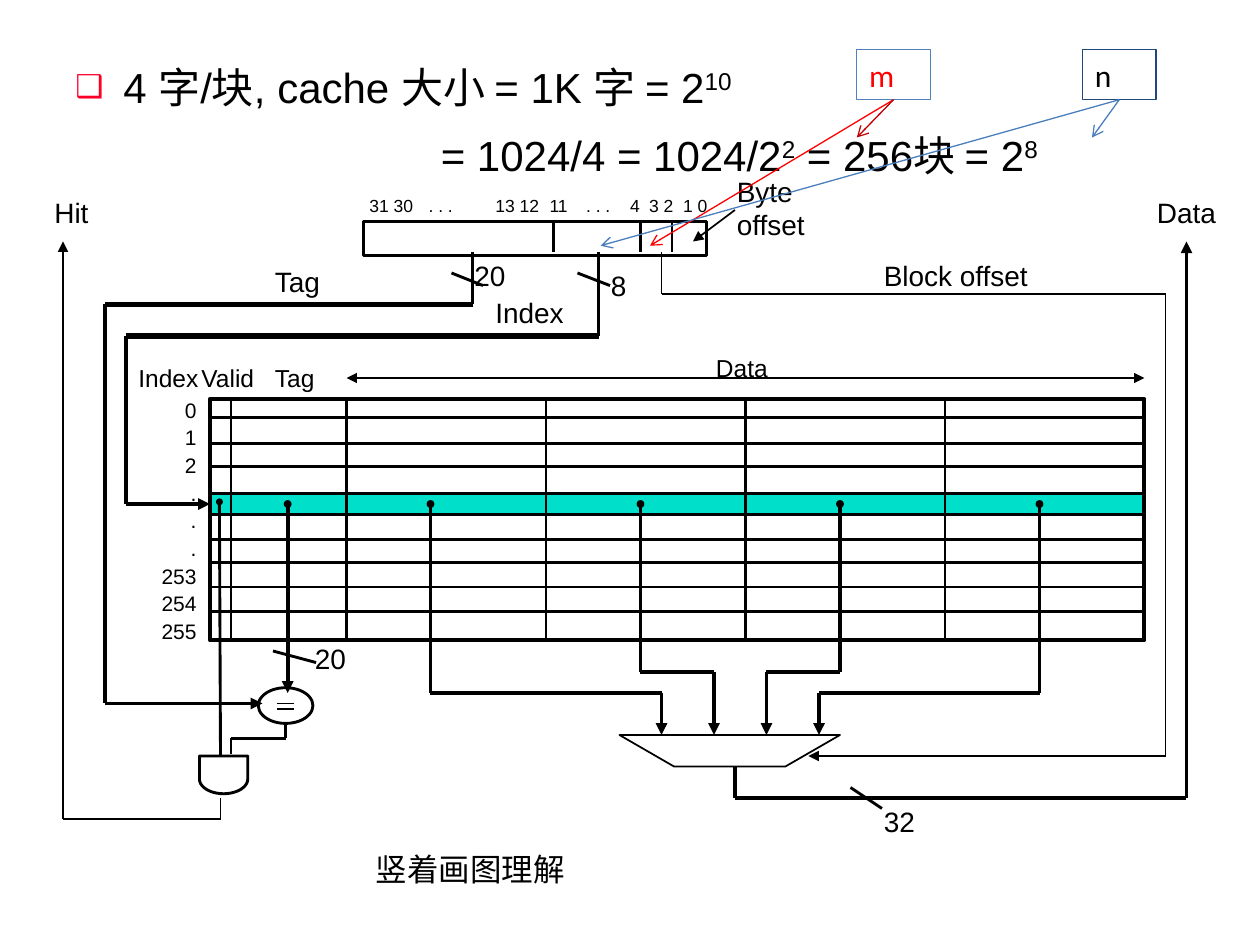
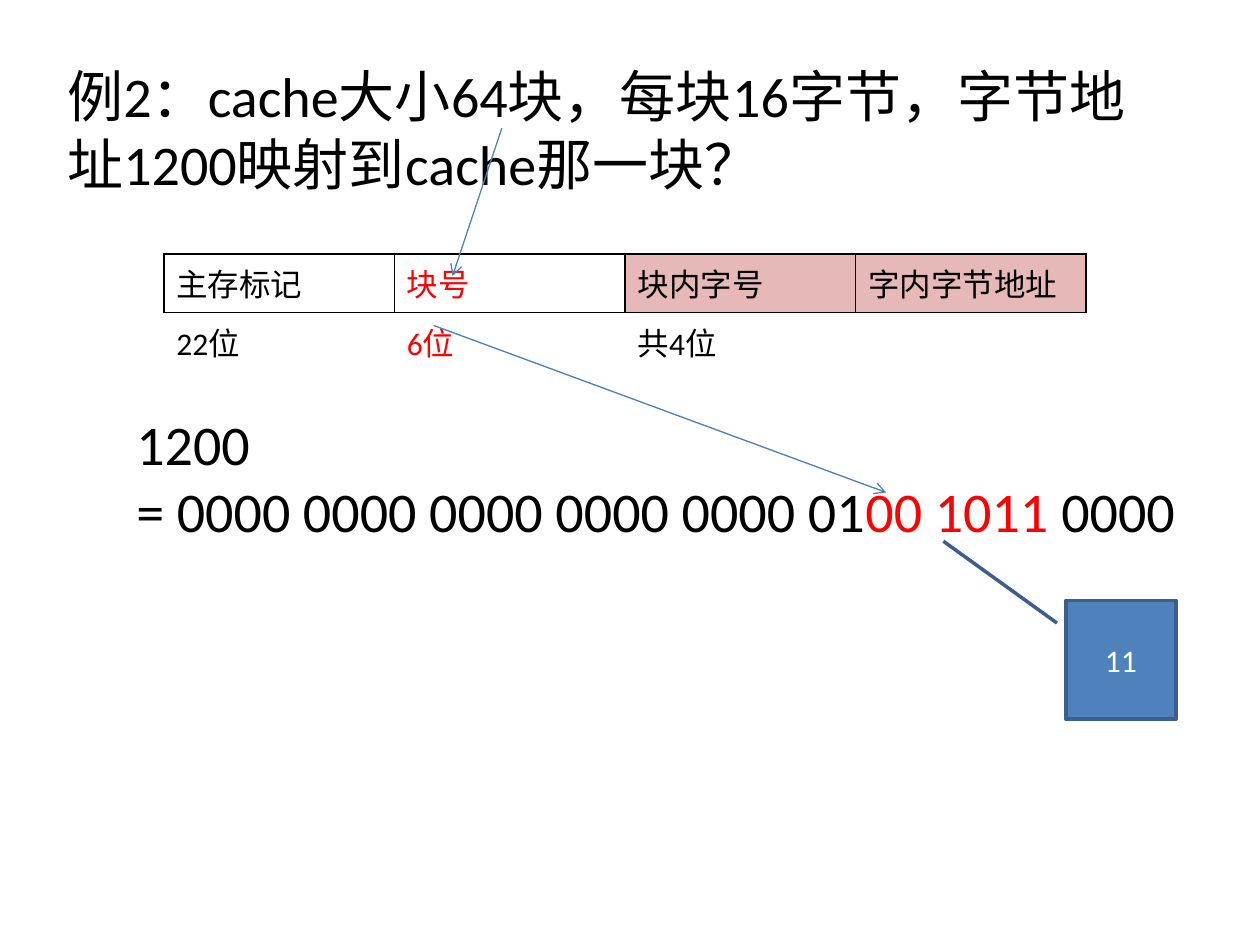
import math

from lxml import etree
from pptx import Presentation
from pptx.dml.color import RGBColor
from pptx.enum.shapes import MSO_CONNECTOR, MSO_SHAPE
from pptx.enum.text import MSO_ANCHOR, MSO_AUTO_SIZE, PP_ALIGN
from pptx.oxml.ns import qn
from pptx.util import Inches, Pt

STRAIGHT = MSO_CONNECTOR.STRAIGHT
RECTANGLE = MSO_SHAPE.RECTANGLE
OVAL = MSO_SHAPE.OVAL
CALLOUT = MSO_SHAPE.LINE_CALLOUT_1
LEFT, CENTER, RIGHT = PP_ALIGN.LEFT, PP_ALIGN.CENTER, PP_ALIGN.RIGHT
TOP, MIDDLE = MSO_ANCHOR.TOP, MSO_ANCHOR.MIDDLE
FIT_SHAPE, NO_FIT = MSO_AUTO_SIZE.SHAPE_TO_FIT_TEXT, MSO_AUTO_SIZE.NONE

BLACK, WHITE, RED, DARK_RED = "000000", "FFFFFF", "FF0000", "C00000"
BLUE, ARROW_BLUE, NAVY, CALLOUT_EDGE = "4F81BD", "4B7EBC", "1F497D", "3A5F8C"
TEAL, PINK, BULLET_RED = "00DFCA", "E6B9B8", "FC0128"
THIN, OUTLINE, BUS, HEAVY = 1, 1.63, 2.25, 3
POINTER = 0.75
DIAGRAM_FONT, TEXT_FONT = "Arial", "Calibri"
CELLS_PER_INCH = 12


def grid(*cells):
    return [Inches(cell / CELLS_PER_INCH) for cell in cells]


def color(value):
    return RGBColor.from_string(value)


def add_element(parent, tag, **attributes):
    element = etree.SubElement(parent, qn(tag))
    for name, value in attributes.items():
        element.set(name, str(value))
    return element


def set_font(font, size, name, ink=BLACK):
    font.size = Pt(size)
    font.name = name
    font.color.rgb = color(ink)


def add_runs(paragraph, runs):
    for text, ink, raised in runs:
        run = paragraph.add_run()
        run.text = text
        if ink:
            run.font.color.rgb = color(ink)
        if raised:
            run._r.get_or_add_rPr().set("baseline", "30000")


def add_text(slide, box, lines, size, name, align=LEFT, spacing=None):
    shape = slide.shapes.add_textbox(*grid(*box))
    frame = shape.text_frame
    frame.word_wrap = True
    frame.auto_size = FIT_SHAPE
    for index, line in enumerate(lines):
        paragraph = frame.paragraphs[0] if index == 0 else frame.add_paragraph()
        if isinstance(line, str):
            paragraph.text = line
        else:
            add_runs(paragraph, line)
        paragraph.alignment = align
        if spacing:
            paragraph.line_spacing = spacing
        set_font(paragraph.font, size, name)
    return shape


def style_shape(shape, line, width, fill=None):
    shape.shadow.inherit = False
    if fill:
        shape.fill.solid()
        shape.fill.fore_color.rgb = color(fill)
    else:
        shape.fill.background()
    shape.line.color.rgb = color(line)
    shape.line.width = Pt(width)
    return shape


def add_box(slide, box, line=BLACK, width=OUTLINE, fill=None, kind=RECTANGLE):
    return style_shape(slide.shapes.add_shape(kind, *grid(*box)), line, width, fill)


def add_outline(slide, points, width):
    start, *others = [grid(*point) for point in points]
    builder = slide.shapes.build_freeform(*start)
    builder.add_line_segments(others, close=True)
    return style_shape(builder.convert_to_shape(), BLACK, width)


def add_line(slide, start, end, width=OUTLINE, ink=BLACK, head=None, tail=None):
    connector = slide.shapes.add_connector(STRAIGHT, *grid(*start, *end))
    connector.line.color.rgb = color(ink)
    connector.line.width = Pt(width)
    line = connector.line._get_or_add_ln()
    for tag, kind in (("a:headEnd", head), ("a:tailEnd", tail)):
        if kind:
            size = "sm" if kind == "oval" else "med"
            add_element(line, tag, type=kind, w=size, len=size)
    add_element(connector._element.spPr, "a:effectLst")
    return connector


def add_wire(slide, points, width=BUS, head=None, tail=None):
    last = len(points) - 2
    for index, (start, end) in enumerate(zip(points, points[1:])):
        connector = add_line(slide, start, end, width,
                             head=head if index == 0 else None,
                             tail=tail if index == last else None)
    return connector


def write_in(shape, text, ink, align, anchor):
    frame = shape.text_frame
    frame.text = text
    frame.vertical_anchor = anchor
    frame.paragraphs[0].alignment = align
    set_font(frame.paragraphs[0].font, 18, TEXT_FONT, ink)


def add_formula(slide):
    lines = [
        [("4 字/块, cache 大小 = 1K 字 = 2", None, False), ("10", None, True)],
        [("= 1024/4 = 1024/2", None, False), ("2", None, True),
         (" = 256块 = 2", None, False), ("8", None, True)],
    ]
    shape = add_text(slide, (6, 6.2, 106, 16), lines, 24, DIAGRAM_FONT, spacing=0.8)
    first, second = shape.text_frame.paragraphs
    properties = first._p.get_or_add_pPr()
    properties.set("marL", str(Inches(0.38)))
    properties.set("indent", str(-Inches(0.38)))
    bullet_color = add_element(properties, "a:buClr")
    add_element(bullet_color, "a:srgbClr", val=BULLET_RED)
    add_element(properties, "a:buSzPct", val=75000)
    add_element(properties, "a:buFont", typeface=DIAGRAM_FONT)
    add_element(properties, "a:buChar", char="❑")
    defaults = properties.find(qn("a:defRPr"))
    properties.remove(defaults)
    properties.append(defaults)
    second._p.get_or_add_pPr().set("marL", str(Inches(2.9)))
    second.space_before = Pt(15.6)


def add_bit_numbers(slide):
    shape = slide.shapes.add_textbox(*grid(34, 18, 40.2, 3.2))
    frame = shape.text_frame
    frame.word_wrap = True
    paragraph = frame.paragraphs[0]
    paragraph.text = "\t".join(["31 30", ". . .", "13 12", "11", ". . .", "4", "3 2", "1 0"])
    tabs = add_element(paragraph._p.get_or_add_pPr(), "a:tabLst")
    for stop in (0.47, 1, 1.43, 1.72, 2.07, 2.22, 2.49):
        add_element(tabs, "a:tab", pos=Inches(stop), algn="l")
    set_font(paragraph.font, 10, DIAGRAM_FONT)


def add_cache_array(slide):
    left, top, width, height = 20, 38, 89, 23
    band = add_box(slide, (left, 47, width, 2), fill=TEAL)
    for row in (39.8, 42.2, 44.4, 51.4, 53.6, 55.9, 58.2):
        add_line(slide, (left, row), (left + width, row))
    add_box(slide, (left, top, width, height), width=BUS)
    for column in [22] + [33 + 19 * word for word in range(4)]:
        add_line(slide, (column, top), (column, top + height))
    add_line(slide, (33, 36), (109, 36), THIN, head="triangle", tail="triangle")
    indices = ["0", "1", "2", ".", ".", ".", "253", "254", "255"]
    add_text(slide, (12.9, 37, 7, 25.1), indices, 12, DIAGRAM_FONT, RIGHT, 1.1)
    return band


def add_address(slide):
    add_box(slide, (34.6, 21.1, 32.7, 3.2))
    for divider in (52.7, 61, 64):
        add_line(slide, (divider, 21.1), (divider, 24))
    add_bit_numbers(slide)
    add_line(slide, (70, 20), (66, 23), THIN, tail="triangle")


def add_gates(slide):
    add_box(slide, (24.6, 65.5, 5.2, 3.4), kind=OVAL)
    for bar in (67, 67.5):
        add_line(slide, (26.4, bar), (28, bar), THIN)
    arc = [(21.3 + 2.3 * math.cos(step * math.pi / 20), 74.2 + 1.4 * math.sin(step * math.pi / 20))
           for step in range(21)]
    add_outline(slide, [(19, 72), (23.6, 72)] + arc, OUTLINE)
    add_outline(slide, [(59, 70), (64.2, 73), (74.8, 73), (80, 70)], THIN)


def add_wires(slide, band):
    add_wire(slide, [(57, 24), (57, 32)])
    add_wire(slide, [(57, 32), (12, 32)], HEAVY)
    index_arrow = add_wire(slide, [(12, 32), (12, 48), (20, 48)], tail="triangle")
    index_arrow.end_connect(band, 1)
    add_wire(slide, [(45, 24), (45, 29)])
    add_wire(slide, [(45, 29), (10, 29)], HEAVY)
    add_wire(slide, [(10, 29), (10, 67), (25, 67)], tail="triangle")
    add_wire(slide, [(27.4, 48), (27.4, 66)], head="oval", tail="triangle")
    add_wire(slide, [(20.9, 47.8), (21, 72)], OUTLINE, head="oval")
    add_wire(slide, [(27.2, 68.9), (27.2, 70.3), (22, 70.3), (22, 71.8)], OUTLINE)
    add_wire(slide, [(21, 76), (21, 78), (6, 78), (6, 23)], THIN, tail="triangle")
    add_wire(slide, [(63, 24), (63, 28), (111, 28), (111, 72), (77, 72)], THIN, tail="triangle")
    add_wire(slide, [(70, 73), (70, 76), (113, 76), (113, 23)], tail="triangle")
    for source, turn, target in ((41, 66, 63), (61, 64, 68), (80, 64, 73), (99, 66, 78)):
        add_wire(slide, [(source, 48), (source, turn), (target, turn), (target, 70)],
                 head="oval", tail="triangle")
    for start, end in (((55, 26), (58.1, 27.2)), ((43, 26), (46, 27.2)),
                       ((26, 62), (30.1, 63.1)), ((81, 75), (84, 77))):
        add_line(slide, start, end)


def add_labels(slide):
    for text, left, top, width, size in (
            ("8", 57, 25, 6, 16), ("Index", 46, 27.6, 11, 16), ("20", 44, 24, 7, 16),
            ("Tag", 25, 24.6, 9, 16), ("20", 28.8, 60.5, 7, 16), ("Hit", 4, 18, 8, 16),
            ("Data", 109, 18, 10, 16), ("32", 83, 76, 7, 16), ("Block offset", 83, 24, 21, 16),
            ("Byte offset", 69, 16, 11, 16), ("Data", 67, 33, 10, 14),
            ("Index", 12, 34, 10, 14), ("Tag", 25, 34, 8, 14), ("Valid", 18, 34, 10, 14)):
        add_text(slide, (left, top, width, 4.4), [text], size, DIAGRAM_FONT)
    add_text(slide, (34.6, 80.4, 36.5, 4.8), ["竖着画图理解"], 18, TEXT_FONT)


def add_variables(slide):
    for text, left, edge, ink, arrows in (
            ("m", 81.6, BLUE, RED, (((61.9, 23.4), RED), ((81.6, 13.1), DARK_RED))),
            ("n", 103.1, NAVY, BLACK, (((57.2, 23.4), ARROW_BLUE), ((104, 13.1), ARROW_BLUE)))):
        box = add_box(slide, (left, 4.7, 7, 4.8), edge, POINTER)
        write_in(box, text, ink, LEFT, TOP)
        for target, arrow_ink in arrows:
            arrow = add_line(slide, (left + 3.5, 9.5), target, POINTER, arrow_ink, tail="arrow")
            arrow.begin_connect(box, 2)


def add_border(cell, drawn_sides):
    properties = cell._tc.get_or_add_tcPr()
    for side in "LRTB":
        line = add_element(properties, f"a:ln{side}", w=Pt(1))
        if side in drawn_sides:
            add_element(add_element(line, "a:solidFill"), "a:srgbClr", val=BLACK)
        else:
            add_element(line, "a:noFill")


def add_field_table(slide):
    rows = [["主存标记", "块号", "块内字号", "字内字节地址"], ["22位", "6位", "共4位", ""]]
    table = slide.shapes.add_table(2, 4, *grid(15.6, 24.2, 87.84, 9.72)).table
    table.first_row = table.horz_banding = False
    for row, texts in enumerate(rows):
        for column, text in enumerate(texts):
            cell = table.cell(row, column)
            cell.text = text
            set_font(cell.text_frame.paragraphs[0].font, 18, TEXT_FONT,
                     RED if column == 1 else BLACK)
            add_border(cell, "LRTB" if row == 0 else "T")
            if row == 0 and column >= 2:
                cell.fill.solid()
                cell.fill.fore_color.rgb = color(PINK)
            else:
                cell.fill.background()


def add_title(slide, box, text):
    title = slide.shapes.title
    title.left, title.top, title.width, title.height = grid(*box)
    frame = title.text_frame
    frame.text = text
    frame.auto_size = NO_FIT
    frame.vertical_anchor = TOP
    frame.paragraphs[0].alignment = LEFT
    set_font(frame.paragraphs[0].font, 32, TEXT_FONT)


def build_cache_slide(presentation):
    slide = presentation.slides.add_slide(presentation.slide_layouts[6])
    band = add_cache_array(slide)
    add_address(slide)
    add_gates(slide)
    add_wires(slide, band)
    add_labels(slide)
    add_formula(slide)
    add_variables(slide)


def build_example_slide(presentation):
    slide = presentation.slides.add_slide(presentation.slide_layouts[5])
    add_title(slide, (5.2, 5.3, 108, 14.2),
              "例2：cache大小64块，每块16字节，字节地址1200映射到cache那一块？")
    add_field_table(slide)
    binary = [("= 0000 0000 0000 0000 0000 01", None, False),
              ("00 1011", RED, False), (" 0000", None, False)]
    add_text(slide, (11.8, 38.4, 104.9, 14.2), ["1200", binary], 32, TEXT_FONT)
    callout = add_box(slide, (101.5, 57.2, 10.5, 11.3), CALLOUT_EDGE, 2, BLUE, CALLOUT)
    for index, value in enumerate((0.19, -0.08, -0.5, -1.11)):
        callout.adjustments[index] = value
    write_in(callout, "11", WHITE, CENTER, MIDDLE)
    for start, end in (((47.8, 12.2), (43.1, 26.3)), ((41.3, 31), (84.4, 46.9))):
        add_line(slide, start, end, POINTER, ARROW_BLUE, tail="arrow")


def main():
    presentation = Presentation()
    presentation.slide_width, presentation.slide_height = grid(120, 90)
    build_cache_slide(presentation)
    build_example_slide(presentation)
    presentation.save("out.pptx")


if __name__ == "__main__":
    main()
